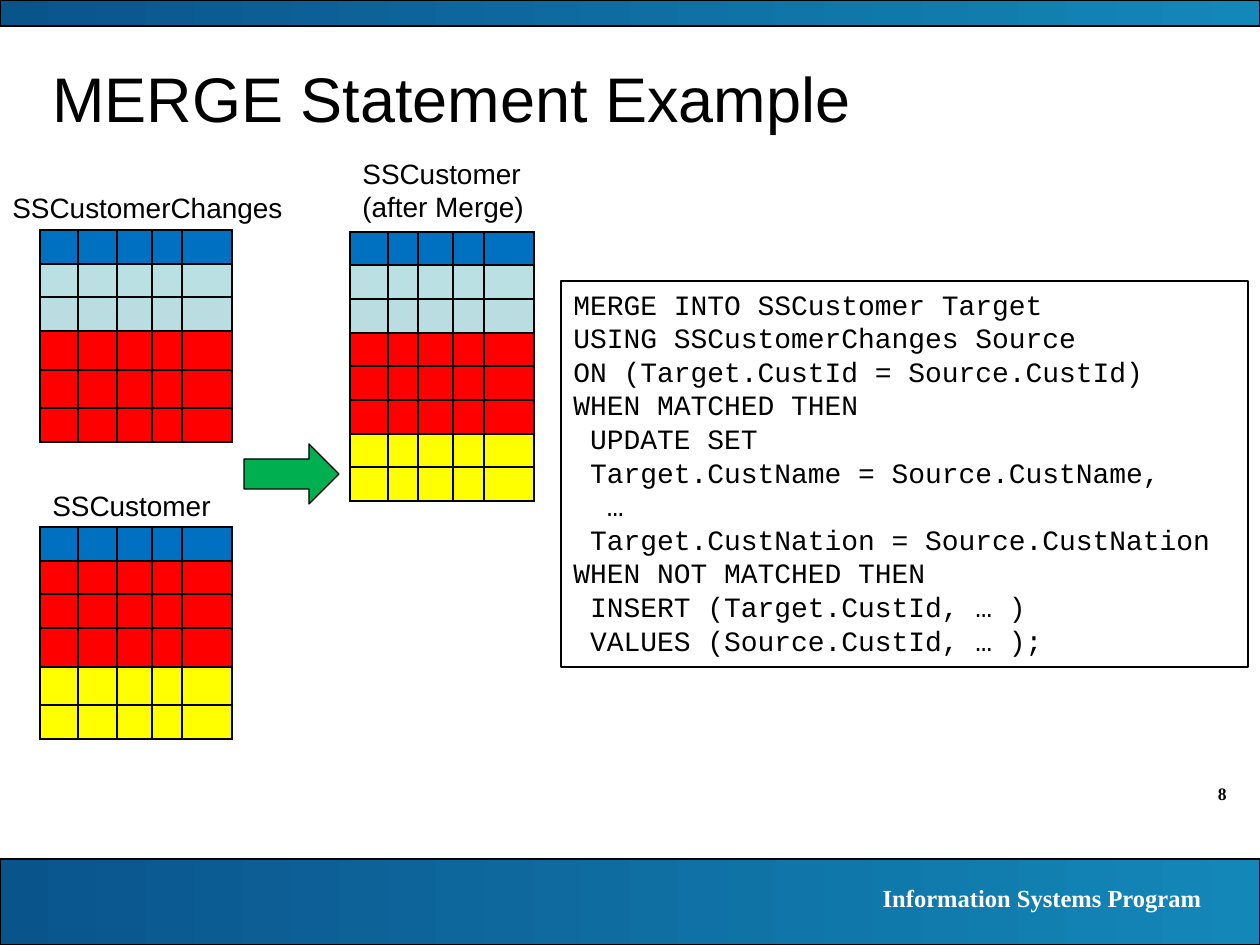
from lxml import etree
from pptx import Presentation
from pptx import util as u
from pptx.dml.color import RGBColor
from pptx.enum import shapes, text
from pptx.oxml.ns import qn

EMU_PER_PX = 914400 / 126
SLIDE_WIDTH, SLIDE_HEIGHT = 1260, 945

BLACK = RGBColor(0x00, 0x00, 0x00)
WHITE = RGBColor(0xFF, 0xFF, 0xFF)
BAND_DARK = RGBColor(0x0A, 0x54, 0x8C)
BAND_LIGHT = RGBColor(0x13, 0x87, 0xB8)
HEADER_BLUE = RGBColor(0x00, 0x70, 0xC0)
NEW_ROW = RGBColor(0xBB, 0xE0, 0xE3)
NEW_ROW_ALT = RGBColor(0xBA, 0xDD, 0xE1)
MATCHED_RED = RGBColor(0xFF, 0x00, 0x00)
UNMATCHED_YELLOW = RGBColor(0xFF, 0xFF, 0x00)
ARROW_GREEN = RGBColor(0x00, 0xB0, 0x50)

SOURCE_COLUMNS = [38, 39, 35, 30, 50]
SOURCE_ROWS = [34, 33, 34, 39, 38, 34]
MERGED_COLUMNS = [38, 30, 35, 31, 50]
MERGED_ROWS = [33, 34, 34, 33, 34, 34, 33, 34]

NEW_ROWS = [NEW_ROW, NEW_ROW_ALT]
MATCHED_ROWS = [MATCHED_RED] * 3
UNMATCHED_ROWS = [UNMATCHED_YELLOW] * 2

MERGE_CODE = """MERGE INTO SSCustomer Target
USING SSCustomerChanges Source
ON (Target.CustId = Source.CustId)
WHEN MATCHED THEN
 UPDATE SET
 Target.CustName = Source.CustName,
  …
 Target.CustNation = Source.CustNation
WHEN NOT MATCHED THEN
 INSERT (Target.CustId, … )
 VALUES (Source.CustId, … );"""


def px(length):
    return u.Emu(round(length * EMU_PER_PX))


def px_box(box):
    return [px(length) for length in box]


def write_text(shape, content, size=16, font="Arial", color=BLACK, bold=False,
               align=text.PP_ALIGN.LEFT, anchor=text.MSO_ANCHOR.TOP):
    """Fill the shape with one paragraph for each line of content."""
    frame = shape.text_frame
    frame.word_wrap = True
    frame.vertical_anchor = anchor
    for index, line in enumerate(content.split("\n")):
        paragraph = frame.add_paragraph() if index else frame.paragraphs[0]
        paragraph.alignment = align
        run = paragraph.add_run()
        run.text = line
        run.font.name = font
        run.font.size = u.Pt(size)
        run.font.bold = bold
        run.font.color.rgb = color


def add_text(slide, box, content, **text_format):
    write_text(slide.shapes.add_textbox(*px_box(box)), content, **text_format)


def add_outlined_shape(slide, kind, box):
    shape = slide.shapes.add_shape(kind, *px_box(box))
    shape.shadow.inherit = False
    shape.line.color.rgb = BLACK
    shape.line.width = u.Pt(0.75)
    return shape


def add_band(slide, box):
    fill = add_outlined_shape(slide, shapes.MSO_SHAPE.RECTANGLE, box).fill
    fill.gradient()
    fill.gradient_angle = 0
    for stop, position, color in zip(fill.gradient_stops, (0, 1), (BAND_DARK, BAND_LIGHT)):
        stop.position = position
        stop.color.rgb = color


def format_cell(cell, color):
    """Give the empty cell black borders, a fill and a small line height."""
    properties = cell._tc.get_or_add_tcPr()
    for side in ("lnL", "lnR", "lnT", "lnB"):
        border = etree.SubElement(properties, qn(f"a:{side}"), w=str(u.Pt(1)))
        border_fill = etree.SubElement(border, qn("a:solidFill"))
        etree.SubElement(border_fill, qn("a:srgbClr"), val=str(BLACK))
    cell.fill.solid()
    cell.fill.fore_color.rgb = color
    cell.margin_top = cell.margin_bottom = 0
    etree.SubElement(cell.text_frame.paragraphs[0]._p, qn("a:endParaRPr"), sz="800")


def add_color_table(slide, left, top, columns, rows, colors):
    box = (left, top, sum(columns), sum(rows))
    table = slide.shapes.add_table(len(rows), len(columns), *px_box(box)).table
    for column, width in zip(table.columns, columns):
        column.width = px(width)
    for row, height, color in zip(table.rows, rows, colors):
        row.height = px(height)
        for cell in row.cells:
            format_cell(cell, color)


def add_master_bands(slide, left, top, width, height):
    serif = dict(font="Times New Roman", bold=True, align=text.PP_ALIGN.RIGHT)
    footer_top = top + height - 86
    add_text(slide, (left + 1134, footer_top - 82, 105, 34), "8", size=10, **serif)
    add_band(slide, (left, footer_top, width, 86))
    add_band(slide, (left, top, width, 26))
    add_text(slide, (left + 699, footer_top + 18, 515, 43),
             "Information Systems Program", size=14, color=WHITE, **serif)


def add_code_panel(slide, box):
    panel = add_outlined_shape(slide, shapes.MSO_SHAPE.RECTANGLE, box)
    panel.fill.background()
    write_text(panel, MERGE_CODE, font="Courier New")


def add_merge_diagram(slide, left, top):
    """Place the two input tables, the arrow and the merged table."""
    add_text(slide, (left, top + 34, 298, 46), "SSCustomerChanges")
    add_color_table(slide, left + 40, top + 80, SOURCE_COLUMNS, SOURCE_ROWS,
                    [HEADER_BLUE] + NEW_ROWS + MATCHED_ROWS)

    add_text(slide, (left + 40, top + 332, 194, 46), "SSCustomer")
    add_color_table(slide, left + 40, top + 377, SOURCE_COLUMNS, SOURCE_ROWS,
                    [HEADER_BLUE] + MATCHED_ROWS + UNMATCHED_ROWS)

    arrow = add_outlined_shape(slide, shapes.MSO_SHAPE.RIGHT_ARROW,
                               (left + 244, top + 294, 95, 60))
    arrow.fill.solid()
    arrow.fill.fore_color.rgb = ARROW_GREEN

    add_text(slide, (left + 350, top, 195, 81), "SSCustomer\n(after Merge)")
    add_color_table(slide, left + 350, top + 82, MERGED_COLUMNS, MERGED_ROWS,
                    [HEADER_BLUE] + NEW_ROWS + MATCHED_ROWS + UNMATCHED_ROWS)


def main():
    presentation = Presentation()
    presentation.slide_width = px(SLIDE_WIDTH)
    presentation.slide_height = px(SLIDE_HEIGHT)
    slide = presentation.slides.add_slide(presentation.slide_layouts[6])

    add_master_bands(slide, 0, 0, SLIDE_WIDTH, SLIDE_HEIGHT)
    add_text(slide, (40, 50, 1155, 95), "MERGE Statement Example",
             size=36, anchor=text.MSO_ANCHOR.MIDDLE)
    add_code_panel(slide, (561, 281, 687, 386))
    add_merge_diagram(slide, 0, 150)

    presentation.save("out.pptx")


if __name__ == "__main__":
    main()
